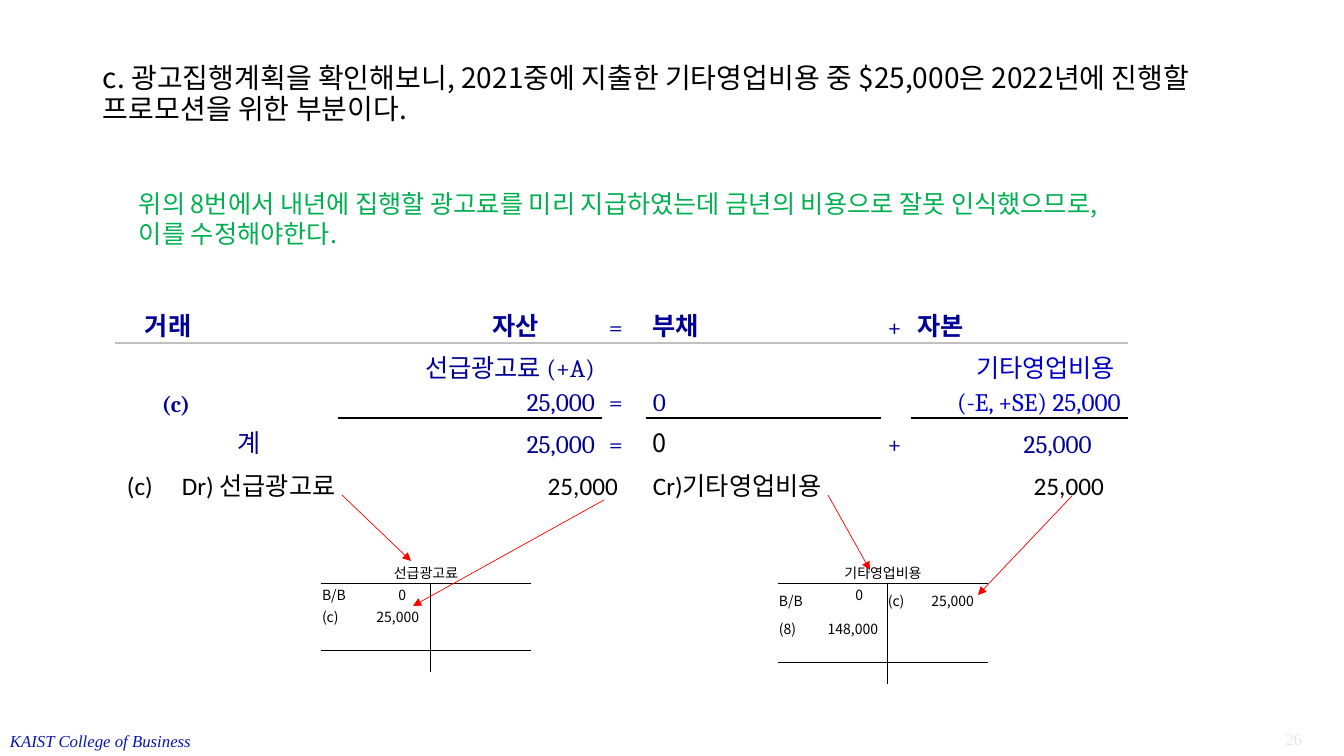
from lxml import etree
from pptx import Presentation
from pptx.dml.color import RGBColor
from pptx.enum.shapes import MSO_CONNECTOR
from pptx.enum.text import MSO_ANCHOR, PP_ALIGN
from pptx.oxml.ns import qn
from pptx.util import Pt

PX = 12192000 / 1344
LEFT, CENTER, RIGHT = PP_ALIGN.LEFT, PP_ALIGN.CENTER, PP_ALIGN.RIGHT
MIDDLE, BOTTOM = MSO_ANCHOR.MIDDLE, MSO_ANCHOR.BOTTOM
KOREAN, SERIF, TIMES = "Noto Sans CJK KR", "Cambria", "Times New Roman"
NAVY, BLACK, WHITE, GRAY = "000099", "000000", "FFFFFF", "C0C0C0"
PLAIN_TABLE = "{2D5ABB26-0587-4C30-8999-92F81FD0307C}"

TITLE = "c. 광고집행계획을 확인해보니, 2021중에 지출한 기타영업비용 중 $25,000은 2022년에 진행할 프로모션을 위한 부분이다."
REASON = ("위의 8번에서 내년에 집행할 광고료를 미리 지급하였는데 금년의 비용으로 잘못 인식했으므로,\n"
          "이를 수정해야한다.")
JOURNAL = "(c)\tDr) 선급광고료\t25,000\tCr)기타영업비용\t25,000"
JOURNAL_TABS = [(55, "l"), (491, "r"), (526, "l"), (977, "r")]
FOOTER = "KAIST College of Business"
PAGE_NUMBER = "26"

EQUATION_COLUMNS = [66, 16, 16, 10, 115, 92, 65, 32, 75, 44, 235, 30, 217, 27, 16]
EQUATION_ROWS = [33, 42, 75, 42, 29]
EQUATION_SPANS = [
    [(1, 2), (3, 6)],
    [(0, 4), (6, 8), (13, 14)],
    [(0, 1), (2, 4), (5, 8), (13, 14)],
    [(0, 1), (2, 3), (5, 8), (13, 14)],
    [(0, 1), (2, 4), (5, 8), (13, 14)],
]
# row, column, text, alignment, side margin, look
EQUATION_CELLS = [
    (1, 0, "거래", LEFT, 30, {"bold": True}),
    (1, 6, "자산", CENTER, 7, {"bold": True}),
    (1, 9, "=", LEFT, 7, {}),
    (1, 10, "부채", LEFT, 7, {"bold": True}),
    (1, 11, "+", LEFT, 7, {}),
    (1, 12, "자본", LEFT, 7, {"bold": True}),
    (2, 0, "(c)", RIGHT, 7, {"bold": True, "size": 16}),
    (2, 5, "선급광고료 (+A)\v25,000", RIGHT, 7, {}),
    (2, 9, "=", LEFT, 7, {}),
    (2, 10, "0", LEFT, 7, {}),
    (2, 12, "기타영업비용 \n(-E, +SE) 25,000", RIGHT, 7, {"color": "0000CC"}),
    (3, 4, "계", LEFT, 15, {}),
    (3, 5, "25,000", RIGHT, 7, {}),
    (3, 9, "=", LEFT, 7, {}),
    (3, 10, "0", LEFT, 7, {"font": KOREAN, "color": BLACK}),
    (3, 11, "+", LEFT, 7, {}),
    (3, 12, "25,000", RIGHT, 36, {}),
]
TOTALLED_COLUMNS = [5, 6, 7, 8, 10, 12]

ACCOUNT_COLUMNS = [36, 73, 27, 74]
# left, name, row heights, entries: row, column, text, alignment, side margin, bottom margin
ACCOUNTS = [
    (321, "선급광고료", [22, 23, 22, 22, 22], [
        (1, 0, "B/B", LEFT, 1, 0), (1, 1, "0", RIGHT, 24, 0),
        (2, 0, "(c)", LEFT, 1, 0), (2, 1, "25,000", RIGHT, 11, 0)]),
    (778, "기타영업비용", [22, 35, 22, 22, 22], [
        (1, 0, "B/B", LEFT, 1, 0), (1, 1, "0", RIGHT, 24, 12),
        (1, 2, "(c)", LEFT, 1, 0), (1, 3, "25,000", RIGHT, 14, 0),
        (2, 0, "(8)", LEFT, 1, 0), (2, 1, "148,000", RIGHT, 9, 0)]),
]
ARROWS = [(342, 495, 411, 561), (604, 500, 413, 606),
          (828, 495, 870, 570), (1072, 496, 978, 595)]


def px(length):
    return round(length * PX)


def rgb(color):
    return RGBColor.from_string(color)


def style(frame, font, size, color, bold=False, italic=False, align=LEFT, spacing=1.0):
    for para in frame.paragraphs:
        para.alignment = align
        para.line_spacing = spacing
        for span in para.runs:
            span.font.name = font
            span.font.size = Pt(size)
            span.font.bold = bold
            span.font.italic = italic
            span.font.color.rgb = rgb(color)
            asian = etree.SubElement(span.font._element, qn("a:ea"))
            asian.set("typeface", KOREAN)


def add_text(slide, place, text, wrap=True, **look):
    box = slide.shapes.add_textbox(*map(px, place))
    box.text_frame.word_wrap = wrap
    box.text_frame.text = text
    style(box.text_frame, **look)
    return box.text_frame


def add_plain_table(slide, left, top, columns, rows):
    """Add an unstyled table whose empty cells cannot stretch their rows."""
    frame = slide.shapes.add_table(len(rows), len(columns), px(left), px(top),
                                   px(sum(columns)), px(sum(rows)))
    table = frame.table
    table.first_row = table.horz_banding = False
    table._tbl.tblPr.find(qn("a:tableStyleId")).text = PLAIN_TABLE
    for column, width in zip(table.columns, columns):
        column.width = px(width)
    for row, height in zip(table.rows, rows):
        row.height = px(height)
    for cell in table.iter_cells():
        cell.margin_left = cell.margin_right = cell.margin_top = cell.margin_bottom = 0
        cell.text_frame.paragraphs[0].font.size = Pt(8)
    return table


def fill_cell(cell, text, margin, anchor, **look):
    cell.margin_left = px(margin if look["align"] == LEFT else 1)
    cell.margin_right = px(margin if look["align"] == RIGHT else 1)
    cell.vertical_anchor = anchor
    cell.text_frame.text = text
    style(cell.text_frame, **look)


def add_border(cell, side, color, width):
    line = etree.Element(qn("a:ln" + side), w=str(Pt(width)))
    solid = etree.SubElement(line, qn("a:solidFill"))
    etree.SubElement(solid, qn("a:srgbClr"), val=color)
    cell._tc.get_or_add_tcPr().insert(0, line)


def add_equation(slide):
    table = add_plain_table(slide, 115, 268, EQUATION_COLUMNS, EQUATION_ROWS)
    for cell in table.iter_cells():
        cell.fill.solid()
        cell.fill.fore_color.rgb = rgb(WHITE)
    for row, spans in enumerate(EQUATION_SPANS):
        for first, last in spans:
            table.cell(row, first).merge(table.cell(row, last))
    for row, column, text, align, margin, changes in EQUATION_CELLS:
        look = {"font": SERIF, "size": 18, "color": NAVY, "spacing": 1.15, **changes}
        fill_cell(table.cell(row, column), text, margin, BOTTOM, align=align, **look)
    for column in range(13):
        add_border(table.cell(1, column), "B", GRAY, 1.5)
    for column in TOTALLED_COLUMNS:
        add_border(table.cell(2, column), "B", BLACK, 1)


def add_account(slide, left, name, rows, entries):
    table = add_plain_table(slide, left, 561, ACCOUNT_COLUMNS, rows)
    look = {"font": KOREAN, "size": 10, "color": BLACK}
    table.cell(0, 0).merge(table.cell(0, 3))
    fill_cell(table.cell(0, 0), name, 1, MIDDLE, align=CENTER, **look)
    for row, column, text, align, margin, bottom in entries:
        cell = table.cell(row, column)
        fill_cell(cell, text, margin, MIDDLE, align=align, **look)
        cell.margin_bottom = px(bottom)
    for row in (0, 3):
        for column in range(4):
            add_border(table.cell(row, column), "B", BLACK, 0.5)
    for row in range(1, 5):
        add_border(table.cell(row, 1), "R", BLACK, 0.5)


def add_arrow(slide, ends):
    arrow = slide.shapes.add_connector(MSO_CONNECTOR.STRAIGHT, *map(px, ends))
    arrow.line.color.rgb = rgb("FF0000")
    arrow.line.width = Pt(0.5)
    etree.SubElement(arrow.line._get_or_add_ln(), qn("a:tailEnd"), type="triangle")
    etree.SubElement(arrow._element.spPr, qn("a:effectLst"))


def add_journal(slide):
    frame = add_text(slide, (117, 465, 1079, 40), JOURNAL,
                     font="Calibri", size=18, color=BLACK)
    tabs = etree.SubElement(frame.paragraphs[0]._p.get_or_add_pPr(), qn("a:tabLst"))
    for position, align in JOURNAL_TABS:
        etree.SubElement(tabs, qn("a:tab"), pos=str(px(position)), algn=align)


def main():
    deck = Presentation()
    deck.slide_width, deck.slide_height = px(1344), px(756)
    slide = deck.slides.add_slide(deck.slide_layouts[6])
    add_text(slide, (0, 726, 204, 30), FOOTER, wrap=False,
             font=TIMES, size=12, color="0915AF", italic=True)
    add_text(slide, (1212, 724, 100, 30), PAGE_NUMBER,
             font=TIMES, size=12, color="E7E6E6", align=RIGHT)
    title = add_text(slide, (93, 40, 1159, 110), TITLE,
                     font=KOREAN, size=20, color=BLACK, spacing=0.9)
    title.vertical_anchor = MIDDLE
    title.margin_right = px(30)
    add_equation(slide)
    add_text(slide, (129, 183, 1106, 72), REASON, wrap=False,
             font=KOREAN, size=18, color="00B050")
    add_journal(slide)
    for account in ACCOUNTS:
        add_account(slide, *account)
    for ends in ARROWS:
        add_arrow(slide, ends)
    deck.save("out.pptx")


if __name__ == "__main__":
    main()
